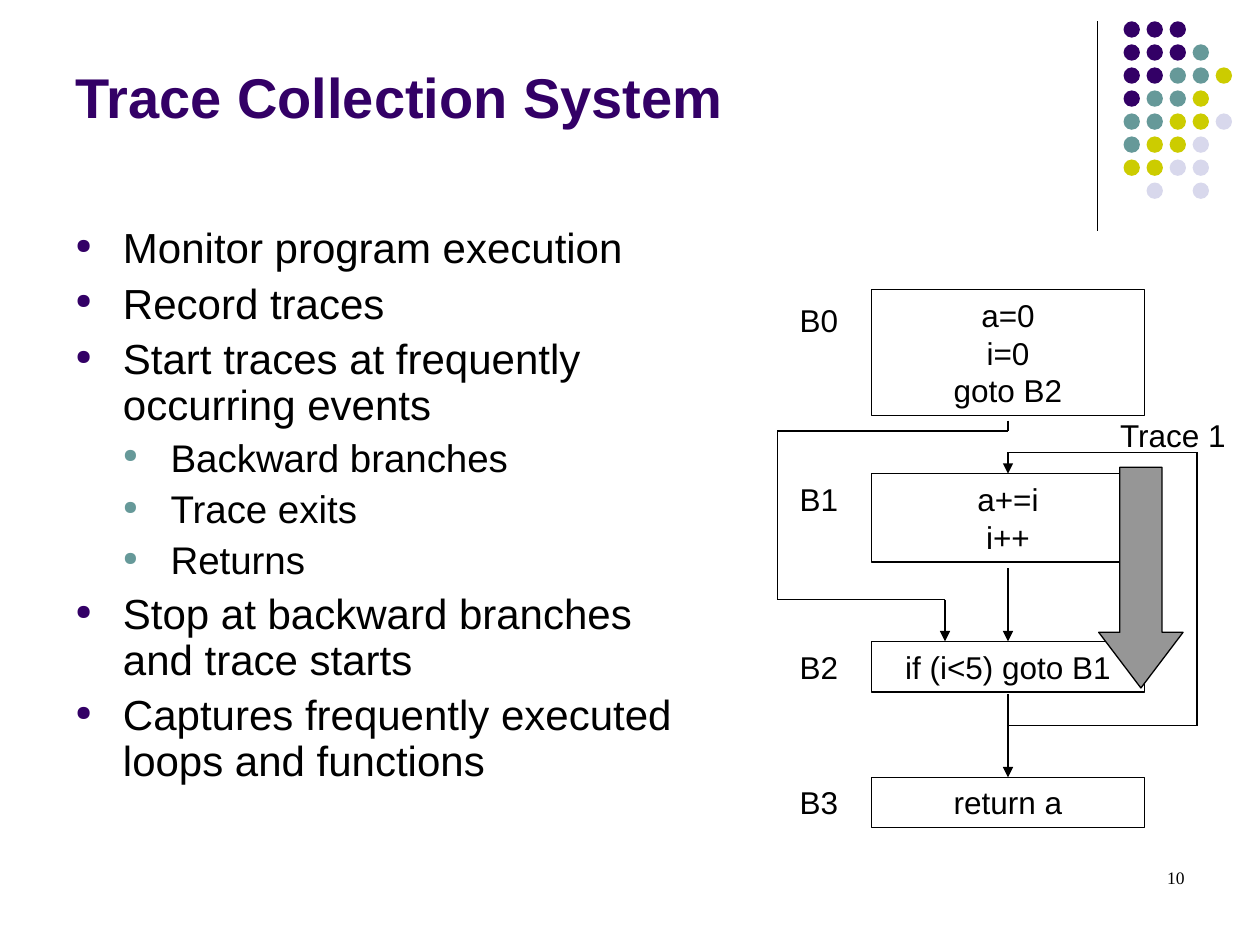
import itertools
from dataclasses import dataclass

import lxml.etree
import pptx
import pptx.dml.color
import pptx.enum.shapes
import pptx.enum.text
import pptx.oxml.ns
import pptx.util

Cm = pptx.util.Cm
Pt = pptx.util.Pt
qn = pptx.oxml.ns.qn
Shape = pptx.enum.shapes.MSO_SHAPE
Align = pptx.enum.text.PP_ALIGN
Anchor = pptx.enum.text.MSO_ANCHOR
AutoSize = pptx.enum.text.MSO_AUTO_SIZE


@dataclass(frozen=True)
class Theme:
    font: str = "Arial"
    number_font: str = "Times New Roman"
    purple: str = "330066"
    teal: str = "669999"
    olive: str = "CCCC00"
    lavender: str = "D8D8EC"
    gray: str = "969696"
    ink: str = "000000"
    title_size: int = 32
    body_sizes: tuple = (24, 22)
    body_spacing: tuple = (6, 5.5)
    label_size: int = 18
    number_size: int = 10
    line_width: float = 0.75


class SlideBuilder:
    def __init__(self, slide, theme):
        self.slide = slide
        self.theme = theme

    def color(self, value):
        return pptx.dml.color.RGBColor.from_string(value)

    def style(self, paragraph, size, color=None, font=None, bold=False):
        paragraph.font.name = font or self.theme.font
        paragraph.font.size = Pt(size)
        paragraph.font.bold = bold
        paragraph.font.color.rgb = self.color(color or self.theme.ink)

    def shape(self, kind, left, top, width, height, fill=None, outlined=True):
        shape = self.slide.shapes.add_shape(
            kind, Cm(left), Cm(top), Cm(width), Cm(height))
        shape.shadow.inherit = False
        if fill:
            shape.fill.solid()
            shape.fill.fore_color.rgb = self.color(fill)
        else:
            shape.fill.background()
        if outlined:
            shape.line.color.rgb = self.color(self.theme.ink)
            shape.line.width = Pt(self.theme.line_width)
        else:
            shape.line.fill.background()
        return shape

    def block(self, left, top, width, height, lines):
        block = self.shape(Shape.RECTANGLE, left, top, width, height)
        frame = block.text_frame
        frame.vertical_anchor = Anchor.TOP
        frame.text = "\n".join(lines)
        for paragraph in frame.paragraphs:
            paragraph.alignment = Align.CENTER
            self.style(paragraph, self.theme.label_size)
        return block

    def text_box(self, left, top, width, height, wrap=True):
        box = self.slide.shapes.add_textbox(
            Cm(left), Cm(top), Cm(width), Cm(height))
        box.text_frame.word_wrap = wrap
        return box.text_frame

    def label(self, left, top, width, text):
        frame = self.text_box(left, top, width, 1.02, wrap=False)
        frame.auto_size = AutoSize.SHAPE_TO_FIT_TEXT
        frame.text = text
        self.style(frame.paragraphs[0], self.theme.label_size)

    def bullet(self, paragraph, level, indent):
        properties = paragraph._p.get_or_add_pPr()
        properties.set("marL", str(Cm(indent * (level + 1))))
        properties.set("indent", str(-Cm(indent)))
        bullet_color = lxml.etree.SubElement(properties, qn("a:buClr"))
        value = (self.theme.purple, self.theme.teal)[level]
        lxml.etree.SubElement(bullet_color, qn("a:srgbClr"), val=value)
        lxml.etree.SubElement(properties, qn("a:buSzPct"), val="50000")
        lxml.etree.SubElement(properties, qn("a:buChar"), char="●")

    def bullet_list(self, left, top, width, height, items):
        frame = self.text_box(left, top, width, height)
        frame.text = "\n".join(text for _, text in items)
        for index, (level, _) in enumerate(items):
            paragraph = frame.paragraphs[index]
            paragraph.level = level
            self.bullet(paragraph, level, 0.96)
            paragraph.line_spacing = 0.9
            if index:
                paragraph.space_before = Pt(self.theme.body_spacing[level])
            self.style(paragraph, self.theme.body_sizes[level])

    def line(self, start, end, arrow=False, target=None):
        connector = self.slide.shapes.add_connector(
            pptx.enum.shapes.MSO_CONNECTOR.STRAIGHT,
            Cm(start[0]), Cm(start[1]), Cm(end[0]), Cm(end[1]))
        if target is not None:
            connector.end_connect(target, 0)
        connector.line.color.rgb = self.color(self.theme.ink)
        connector.line.width = Pt(self.theme.line_width)
        if arrow:
            lxml.etree.SubElement(
                connector.line._get_or_add_ln(), qn("a:tailEnd"), type="triangle")
        lxml.etree.SubElement(connector._element.spPr, qn("a:effectLst"))

    def route(self, points):
        for start, end in itertools.pairwise(points):
            self.line(start, end)


def main():
    presentation = pptx.Presentation()
    presentation.slide_width = Cm(25.4)
    presentation.slide_height = Cm(19.05)
    theme = Theme()
    slide = presentation.slides.add_slide(presentation.slide_layouts[6])
    builder = SlideBuilder(slide, theme)

    # Corner decoration: one letter per dot
    builder.line((22.12, 0.43), (22.12, 4.65))
    dot_colors = {"P": theme.purple, "T": theme.teal,
                  "O": theme.olive, "L": theme.lavender}
    dot_rows = ("PPP", "PPPT", "PPTTO", "PTTO", "TTOOL", "TOOL", "OOLL", " L L")
    dot_step = 3.25 / 7
    for row, letters in enumerate(dot_rows):
        for column, letter in enumerate(letters):
            if letter in dot_colors:
                builder.shape(Shape.OVAL, 22.65 + column * dot_step,
                              0.43 + row * dot_step, 0.33, 0.33,
                              dot_colors[letter], outlined=False)

    # Title
    title = builder.text_box(1.27, 0.33, 20.96, 2.41)
    title.vertical_anchor = Anchor.BOTTOM
    title.text = "Trace Collection System"
    builder.style(title.paragraphs[0], theme.title_size, theme.purple, bold=True)

    # Bullets
    builder.bullet_list(1.27, 4.45, 12.9, 12.24, (
        (0, "Monitor program execution"),
        (0, "Record traces"),
        (0, "Start traces at frequently occurring events"),
        (1, "Backward branches"),
        (1, "Trace exits"),
        (1, "Returns"),
        (0, "Stop at backward branches and trace starts"),
        (0, "Captures frequently executed loops and functions"),
    ))

    # Basic blocks with their names
    block_left, block_width = 17.57, 5.5
    block_rows = (
        ("B0", 5.84, 2.54, 5.94, ("a=0", "i=0", "goto B2")),
        ("B1", 9.55, 1.78, 9.55, ("a+=i", "i++")),
        ("B2", 12.93, 1.02, 12.93, ("if (i<5) goto B1",)),
        ("B3", 15.67, 1.02, 15.67, ("return a",)),
    )
    blocks, tops = {}, {}
    for name, top, height, label_top, lines in block_rows:
        blocks[name] = builder.block(block_left, top, block_width, height, lines)
        tops[name] = top
        builder.label(15.87, label_top, 1.4, name)

    # Arrows into the blocks
    center = block_left + block_width / 2
    loop_top, jump_bottom, jump_x = 9.12, 12.09, 19.05
    for name, start_y in (("B3", 14.0), ("B2", 11.46), ("B1", loop_top)):
        builder.line((center, start_y), (center, tops[name]),
                     arrow=True, target=blocks[name])

    # Loop back to B1, and jump from B0 to B2
    builder.route(((center, loop_top), (24.13, loop_top),
                   (24.13, 14.63), (center, 14.63)))
    builder.route(((center, 8.48), (center, 8.69), (15.67, 8.69),
                   (15.67, jump_bottom), (jump_x, jump_bottom)))
    builder.line((jump_x, jump_bottom), (jump_x, tops["B2"]), arrow=True)

    # Trace marker
    builder.label(22.33, 8.26, 2.67, "Trace 1")
    trace_arrow = builder.shape(Shape.DOWN_ARROW, 22.15, 9.42, 1.7, 4.45, theme.gray)
    trace_arrow.adjustments[0] = 0.5
    trace_arrow.adjustments[1] = 0.66

    # Page number
    number = builder.text_box(18.21, 17.35, 5.92, 1.27)
    number.text = "10"
    number.paragraphs[0].alignment = Align.RIGHT
    builder.style(number.paragraphs[0], theme.number_size, font=theme.number_font)

    presentation.save("out.pptx")


if __name__ == "__main__":
    main()
